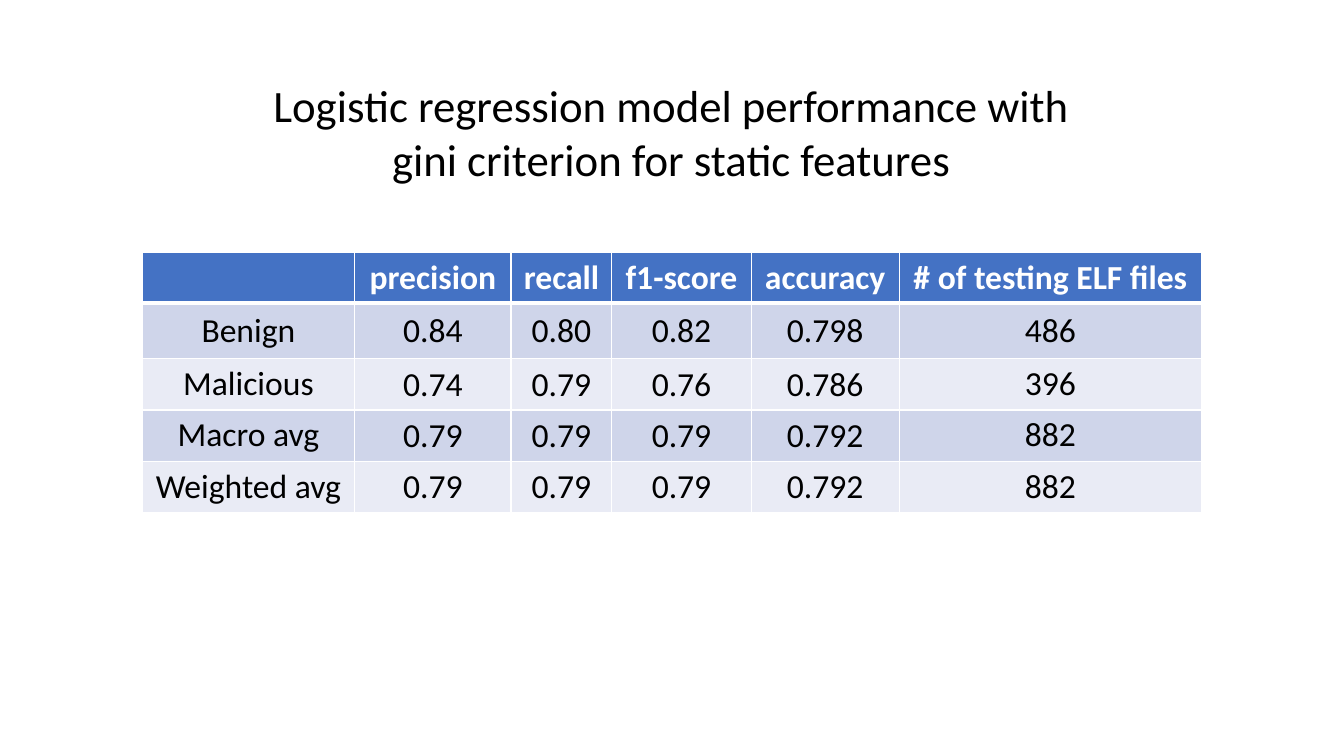
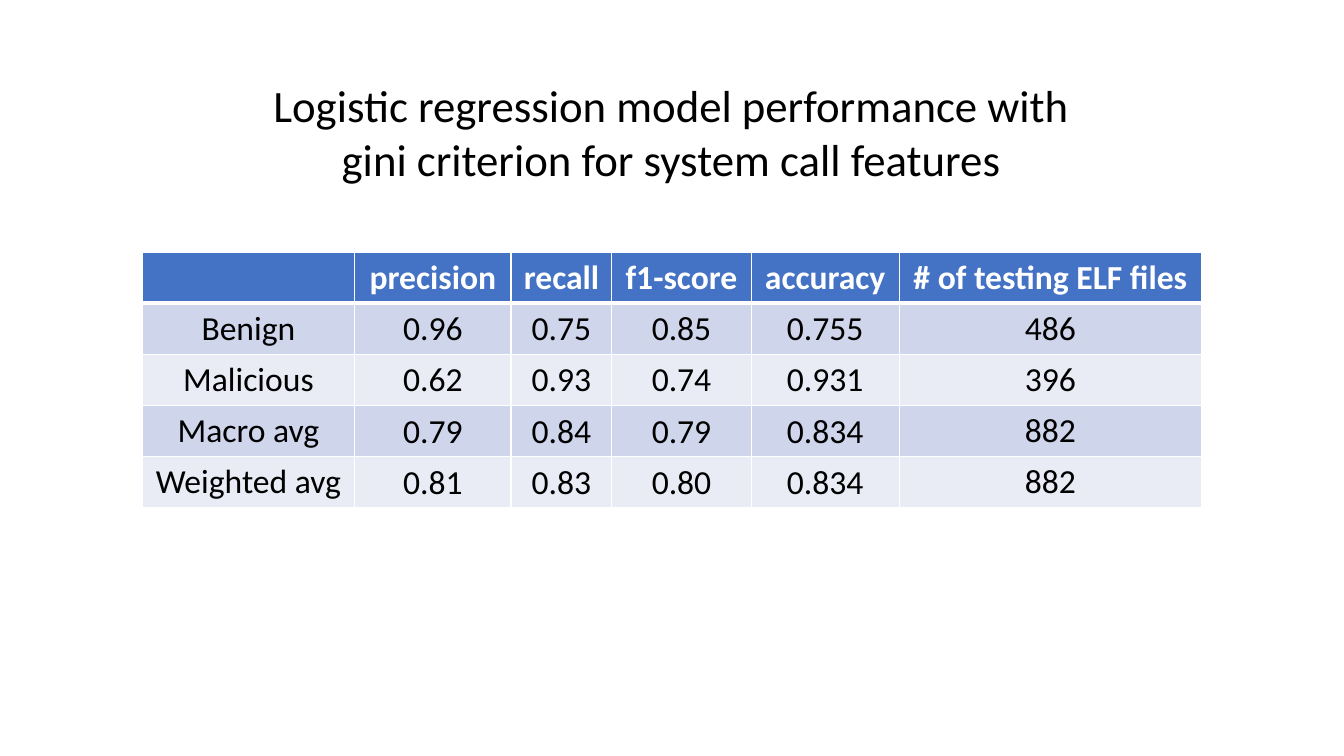
from dataclasses import dataclass

import lxml.etree
import pptx
import pptx.dml.color
import pptx.enum.text
import pptx.oxml.ns
import pptx.util

Cm = pptx.util.Cm
Pt = pptx.util.Pt
RGB = pptx.dml.color.RGBColor.from_string
qn = pptx.oxml.ns.qn


@dataclass(frozen=True)
class Theme:
    font: str = "Calibri"
    title_size: int = 32
    table_size: int = 24
    text: str = "000000"
    header_text: str = "FFFFFF"
    header: str = "4472C4"
    bands: tuple = ("CFD5EA", "E9EBF5")
    border: str = "FFFFFF"
    thin: float = 1
    thick: float = 3


THEME = Theme()

# Boxes in cm: left, top, width, height
TITLE_BOX = (5.92, 1.83, 22, 3)
TABLE_BOX = (3.58, 6.35, 26.7, 6.45)
COL_WIDTHS = (5.36, 3.94, 2.54, 3.51, 3.73, 7.62)

HEADER = ("", "precision", "recall", "f1-score", "accuracy", "# of testing ELF files")
TITLE = "Logistic regression model performance with gini criterion for {} features"

# Feature set, height of the first body row, body rows
SLIDES = (
    ("static", 1.4, (
        ("Benign", "0.84", "0.80", "0.82", "0.798", "486"),
        ("Malicious", "0.74", "0.79", "0.76", "0.786", "396"),
        ("Macro avg", "0.79", "0.79", "0.79", "0.792", "882"),
        ("Weighted avg", "0.79", "0.79", "0.79", "0.792", "882"),
    )),
    ("system call", 1.29, (
        ("Benign", "0.96", "0.75", "0.85", "0.755", "486"),
        ("Malicious", "0.62", "0.93", "0.74", "0.931", "396"),
        ("Macro avg", "0.79", "0.84", "0.79", "0.834", "882"),
        ("Weighted avg", "0.81", "0.83", "0.80", "0.834", "882"),
    )),
)


def write(tf, text, *, size, color=THEME.text, bold=False):
    """Put one centred run of text into a text frame."""
    p = tf.paragraphs[0]
    p.alignment = pptx.enum.text.PP_ALIGN.CENTER
    p.font.size = Pt(size)
    if text:
        r = p.add_run()
        r.text = text
        r.font.name = THEME.font
        r.font.size = Pt(size)
        r.font.bold = bold
        r.font.color.rgb = RGB(color)


def set_borders(cell, top, bottom):
    """Draw the four cell borders; they must precede the fill in the XML."""
    tc_pr = cell.fill._xPr
    widths = {"a:lnL": THEME.thin, "a:lnR": THEME.thin, "a:lnT": top, "a:lnB": bottom}
    for i, (tag, width) in enumerate(widths.items()):
        ln = lxml.etree.Element(qn(tag), w=str(Pt(width)))
        fill = lxml.etree.SubElement(ln, qn("a:solidFill"))
        lxml.etree.SubElement(fill, qn("a:srgbClr"), val=THEME.border)
        tc_pr.insert(i, ln)


def add_title(s, box, text):
    tf = s.shapes.add_textbox(*map(Cm, box)).text_frame
    tf.word_wrap = True
    tf.auto_size = pptx.enum.text.MSO_AUTO_SIZE.SHAPE_TO_FIT_TEXT
    write(tf, text, size=THEME.title_size)


def style_cell(cell, text, row, col):
    is_header = row == 0
    cell.vertical_anchor = pptx.enum.text.MSO_ANCHOR.MIDDLE
    cell.fill.solid()
    cell.fill.fore_color.rgb = RGB(THEME.header if is_header else THEME.bands[(row - 1) % 2])
    set_borders(cell,
                top=THEME.thick if row == 1 else THEME.thin,
                bottom=THEME.thick if is_header else THEME.thin)
    # Score cells have almost no margins
    if not is_header and 0 < col < len(HEADER) - 1:
        cell.margin_left = cell.margin_right = cell.margin_top = Cm(0.02)
        cell.margin_bottom = 0
    write(cell.text_frame, text, size=THEME.table_size, bold=is_header,
          color=THEME.header_text if is_header else THEME.text)


def add_score_table(s, box, rows, first_height):
    left, top, width, height = box
    rows = (HEADER, *rows)
    row_height = height / len(rows)
    table = s.shapes.add_table(len(rows), len(HEADER), *map(Cm, box)).table
    table.horz_banding = False
    # Column widths share the box in fixed proportion
    for column, part in zip(table.columns, COL_WIDTHS):
        column.width = Cm(width * part / sum(COL_WIDTHS))
    for i, values in enumerate(rows):
        table.rows[i].height = Cm(first_height if i == 1 else row_height)
        for j, text in enumerate(values):
            style_cell(table.cell(i, j), text, i, j)


def add_score_slide(prs, features, first_height, rows):
    s = prs.slides.add_slide(prs.slide_layouts[6])
    add_score_table(s, TABLE_BOX, rows, first_height)
    add_title(s, TITLE_BOX, TITLE.format(features))


def main():
    prs = pptx.Presentation()
    prs.slide_width, prs.slide_height = Cm(33.87), Cm(19.05)
    for features, first_height, rows in SLIDES:
        add_score_slide(prs, features, first_height, rows)
    prs.save("out.pptx")


if __name__ == "__main__":
    main()
